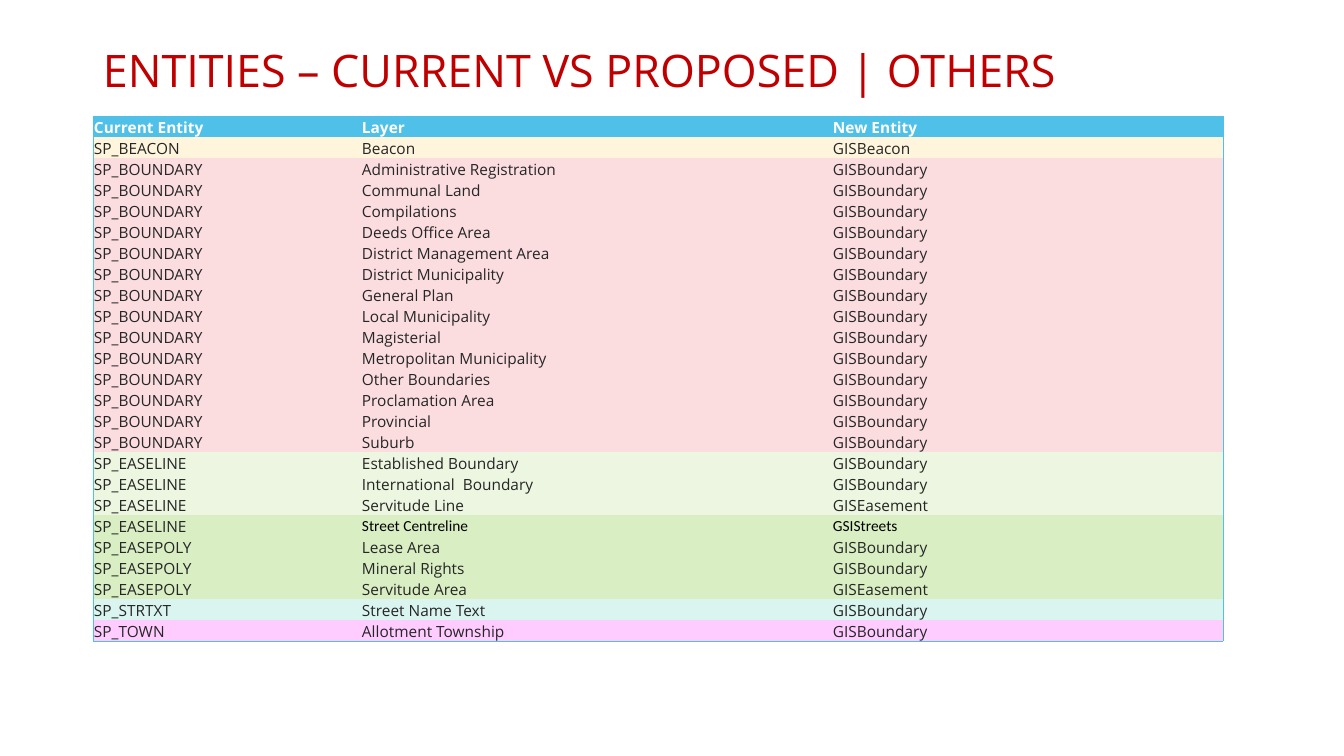
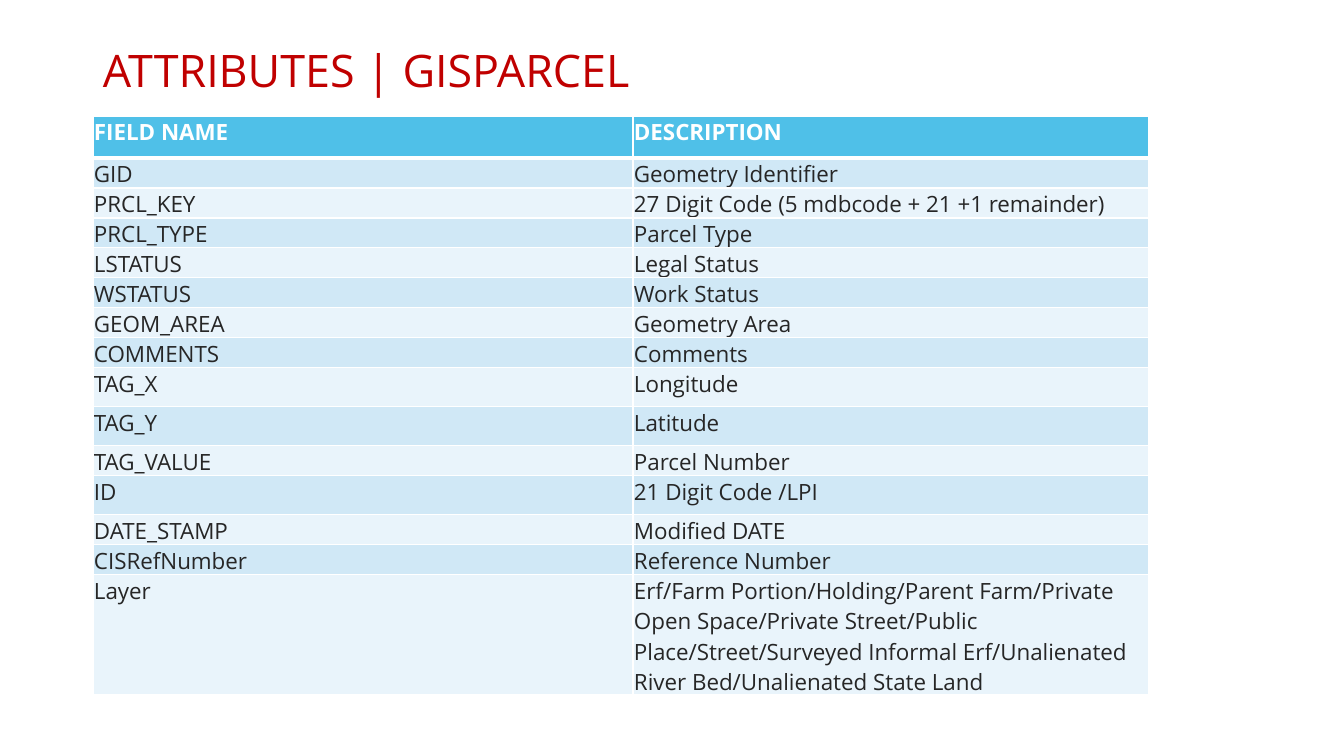
from dataclasses import dataclass
from typing import Any, NamedTuple

import pptx
import pptx.dml.color
import pptx.enum.text
import pptx.oxml
import pptx.oxml.ns
import pptx.util

EMU_PER_PX = 914400 / 100.8
ANCHOR = pptx.enum.text.MSO_ANCHOR


@dataclass(frozen=True)
class Theme:
    font: str = "Open Sans"
    alt_font: str = "Calibri"
    title: str = "C00000"
    header: str = "4FC0E8"
    white: str = "FFFFFF"
    ink: str = "262626"
    black: str = "000000"
    beacon: str = "FFF5DD"
    boundary: str = "FBDDE0"
    line: str = "ECF6E1"
    poly: str = "D9EEC3"
    street: str = "DAF5EF"
    town: str = "FFCCFF"
    bands: tuple[str, str] = ("D0E8F6", "E9F4FB")
    title_pt: int = 32
    entity_pt: int = 11
    field_pt: int = 16
    outline_pt: float = 0.5
    grid_pt: float = 1
    rule_pt: float = 3


THEME = Theme()


class Border(NamedTuple):
    color: str
    width: float


class Row(NamedTuple):
    texts: tuple[str, ...]
    fill: str
    height: int
    color: str = THEME.ink
    bold: bool = False


class Group(NamedTuple):
    entity: str
    fill: str
    layers: tuple[tuple[str, str], ...]


class Field(NamedTuple):
    name: str
    description: str
    height: int = 30


@dataclass(frozen=True)
class Grid:
    title: str
    columns: tuple[int, ...]
    rows: tuple[Row, ...]
    size: int
    anchor: Any
    outlined: bool = False


def boundaries(*layers: str) -> tuple[tuple[str, str], ...]:
    return tuple((layer, "GISBoundary") for layer in layers)


GROUPS = (
    Group("SP_BEACON", THEME.beacon, (("Beacon", "GISBeacon"),)),
    Group("SP_BOUNDARY", THEME.boundary, boundaries(
        "Administrative Registration", "Communal Land", "Compilations",
        "Deeds Office Area", "District Management Area",
        "District Municipality", "General Plan", "Local Municipality",
        "Magisterial", "Metropolitan Municipality", "Other Boundaries",
        "Proclamation Area", "Provincial", "Suburb")),
    Group("SP_EASELINE", THEME.line,
          boundaries("Established Boundary", "International  Boundary")
          + (("Servitude Line", "GISEasement"),)),
    Group("SP_EASELINE", THEME.poly, (("Street Centreline", "GSIStreets"),)),
    Group("SP_EASEPOLY", THEME.poly,
          boundaries("Lease Area", "Mineral Rights")
          + (("Servitude Area", "GISEasement"),)),
    Group("SP_STRTXT", THEME.street, boundaries("Street Name Text")),
    Group("SP_TOWN", THEME.town, boundaries("Allotment Township")),
)

FIELDS = (
    Field("GID", "Geometry Identifier"),
    Field("PRCL_KEY", "27 Digit Code (5 mdbcode + 21 +1 remainder)"),
    Field("PRCL_TYPE", "Parcel Type"),
    Field("LSTATUS", "Legal Status"),
    Field("WSTATUS", "Work Status"),
    Field("GEOM_AREA", "Geometry Area"),
    Field("COMMENTS", "Comments"),
    Field("TAG_X", "Longitude", 39),
    Field("TAG_Y", "Latitude", 39),
    Field("TAG_VALUE", "Parcel Number"),
    Field("ID", "21 Digit Code /LPI", 39),
    Field("DATE_STAMP", "Modified DATE"),
    Field("CISRefNumber", "Reference Number"),
    Field("Layer", "Erf/Farm Portion/Holding/Parent Farm/Private Open Space/"
          "Private Street/Public Place/Street/Surveyed Informal Erf/"
          "Unalienated River Bed/Unalienated State Land", 120),
)

CALIBRI_TEXTS = ("Street Centreline", "GSIStreets")


def px(value: int) -> int:
    return round(value * EMU_PER_PX)


def assign(obj: Any, values: dict[str, Any]) -> None:
    for name, value in values.items():
        setattr(obj, name, value)


def rgb(color: str) -> pptx.dml.color.RGBColor:
    return pptx.dml.color.RGBColor.from_string(color)


def write(tf: Any, text: str, size: int, color: str,
          font: str = THEME.font, bold: bool = False) -> Any:
    p = tf.paragraphs[0]
    r = p.add_run()
    r.text = text
    assign(r.font, {"name": font, "size": pptx.util.Pt(size), "bold": bold})
    r.font.color.rgb = rgb(color)
    return p


def add_title(s: Any, text: str) -> None:
    tf = s.shapes.add_textbox(px(93), px(30), px(1159), px(86)).text_frame
    assign(tf, {"word_wrap": True, "vertical_anchor": ANCHOR.MIDDLE})
    write(tf, text, THEME.title_pt, THEME.title).line_spacing = 0.9


def set_border(cell: Any, side: str, border: Border | None) -> None:
    width = pptx.util.Pt(border.width) if border else 0
    paint = (f'<a:solidFill><a:srgbClr val="{border.color}"/></a:solidFill>'
             if border else "<a:noFill/>")
    ns = pptx.oxml.ns.nsdecls("a")
    cell._tc.get_or_add_tcPr().append(pptx.oxml.parse_xml(
        f'<a:ln{side} {ns} w="{width}">{paint}</a:ln{side}>'))


def cell_borders(grid: Grid, i: int, j: int) -> dict[str, Border | None]:
    if grid.outlined:
        edge = Border(THEME.header, THEME.outline_pt)
        outer = {"L": j == 0, "R": j == len(grid.columns) - 1,
                 "T": i == 0, "B": i == len(grid.rows) - 1}
        return {side: edge if on else None for side, on in outer.items()}
    thin = Border(THEME.white, THEME.grid_pt)
    rule = Border(THEME.white, THEME.rule_pt)
    return {"L": thin, "R": thin, "T": rule if i == 1 else thin,
            "B": rule if i == 0 else thin}


def fill_cell(cell: Any, grid: Grid, row: Row, i: int, j: int) -> None:
    assign(cell, {"margin_left": px(1), "margin_right": px(1),
                  "margin_top": px(1), "margin_bottom": 0,
                  "vertical_anchor": grid.anchor})
    for side, border in cell_borders(grid, i, j).items():
        set_border(cell, side, border)
    cell.fill.solid()
    cell.fill.fore_color.rgb = rgb(row.fill)
    text = row.texts[j]
    if text in CALIBRI_TEXTS:
        font, color = THEME.alt_font, THEME.black
    else:
        font, color = THEME.font, row.color
    write(cell.text_frame, text, grid.size, color, font, row.bold)


def add_grid(s: Any, grid: Grid) -> None:
    table = s.shapes.add_table(
        len(grid.rows), len(grid.columns), px(93), px(116),
        px(sum(grid.columns)), px(sum(row.height for row in grid.rows))).table
    assign(table, {"first_row": False, "horz_banding": False})
    for column, width in zip(table.columns, grid.columns):
        column.width = px(width)
    for i, row in enumerate(grid.rows):
        table.rows[i].height = px(row.height)
        for j in range(len(grid.columns)):
            fill_cell(table.cell(i, j), grid, row, i, j)


def header(height: int, *texts: str) -> Row:
    return Row(texts, THEME.header, height, THEME.white, True)


def entity_rows() -> tuple[Row, ...]:
    return (header(21, "Current Entity", "Layer", "New Entity"),) + tuple(
        Row((group.entity, layer, new), group.fill, 21)
        for group in GROUPS for layer, new in group.layers)


def field_rows() -> tuple[Row, ...]:
    return (header(42, "FIELD NAME", "DESCRIPTION"),) + tuple(
        Row((field.name, field.description), THEME.bands[i % 2], field.height)
        for i, field in enumerate(FIELDS))


def main() -> None:
    prs = pptx.Presentation()
    assign(prs, {"slide_width": px(1344), "slide_height": px(756)})
    grids = (
        Grid("ENTITIES – CURRENT VS PROPOSED | OTHERS", (268, 471, 391),
             entity_rows(), THEME.entity_pt, ANCHOR.BOTTOM, True),
        Grid("ATTRIBUTES | GISPARCEL", (540, 516),
             field_rows(), THEME.field_pt, ANCHOR.TOP),
    )
    for grid in grids:
        s = prs.slides.add_slide(prs.slide_layouts[6])
        add_title(s, grid.title)
        add_grid(s, grid)
    prs.save("out.pptx")


if __name__ == "__main__":
    main()
